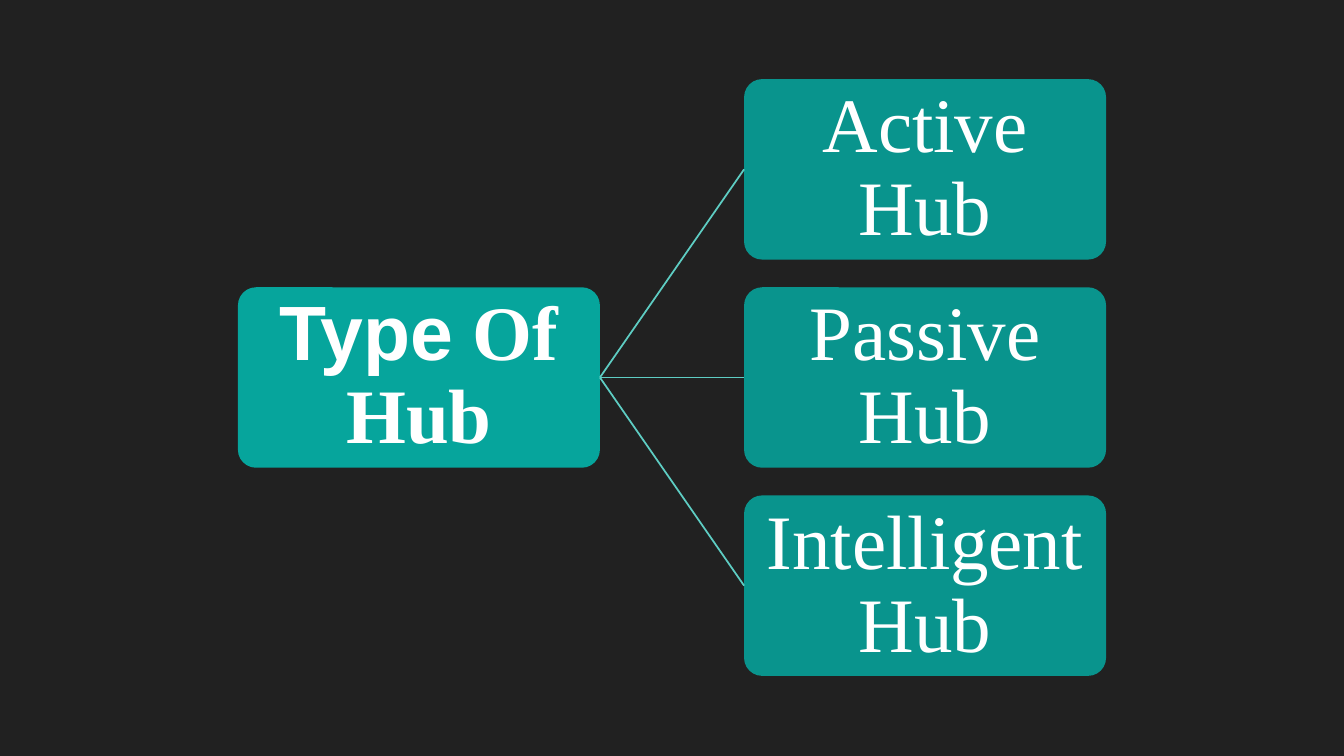
from dataclasses import dataclass

from pptx import Presentation
from pptx.dml.color import RGBColor
from pptx.enum import shapes, text
from pptx.oxml import parse_xml
from pptx.oxml.ns import nsdecls
from pptx.util import Inches, Pt

CARD_W, CARD_H = 3.59, 1.79
ROOT_LEFT, BRANCH_LEFT = 2.36, 7.38
MIDDLE_TOP, PITCH = 2.85, 2.065
TEXT_INSET = 0.05
SERIF, SANS = "Times New Roman", "Arial"


@dataclass
class Card:
    left: float
    top: float
    opacity: int
    label: str = ""


def rgb(value: str) -> RGBColor:
    return RGBColor.from_string(value)


def style_text(sp, bold: bool = False) -> None:
    tf = sp.text_frame
    tf.word_wrap = True
    tf.auto_size = text.MSO_AUTO_SIZE.NONE
    tf.vertical_anchor = text.MSO_ANCHOR.MIDDLE
    tf.margin_left = tf.margin_right = Inches(0.04)
    tf.margin_top = tf.margin_bottom = Inches(0.04)
    p = tf.paragraphs[0]
    p.alignment = text.PP_ALIGN.CENTER
    p.line_spacing = 0.9
    for r in p.runs:
        r.font.name = SERIF
        r.font.size = Pt(55)
        r.font.bold = bold
        r.font.color.rgb = rgb("FFFFFF")


def add_card(s, card: Card):
    sp = s.shapes.add_shape(
        shapes.MSO_SHAPE.ROUNDED_RECTANGLE, Inches(card.left),
        Inches(card.top), Inches(CARD_W), Inches(CARD_H))
    sp.adjustments[0] = 0.1
    sp.shadow.inherit = False
    sp.line.fill.background()
    sp.fill.solid()
    sp.fill.fore_color.rgb = rgb("00C6BB")
    color = sp.element.spPr.find(".//{*}srgbClr")
    color.append(parse_xml(
        f'<a:alpha {nsdecls("a")} val="{card.opacity * 1000}"/>'))
    if card.label:
        sp.text_frame.text = card.label
        style_text(sp)
    return sp


def join(s, start, end) -> None:
    line = s.shapes.add_connector(shapes.MSO_CONNECTOR.STRAIGHT, 0, 0, 0, 0)
    line.begin_connect(start, 3)
    line.end_connect(end, 1)
    line.line.color.rgb = rgb("5ECDC3")
    line.line.width = Pt(1.25)
    line.element.spPr.append(parse_xml(f'<a:effectLst {nsdecls("a")}/>'))


def main() -> None:
    prs = Presentation()
    prs.slide_width, prs.slide_height = Inches(13.33), Inches(7.5)
    s = prs.slides.add_slide(prs.slide_layouts[5])
    s.background.fill.solid()
    s.background.fill.fore_color.rgb = rgb("212121")

    # Root card, with the slide title on top of it
    root = add_card(s, Card(ROOT_LEFT, MIDDLE_TOP, 80))
    title = s.shapes.title
    root.element.addnext(title.element)
    title.left = Inches(ROOT_LEFT + TEXT_INSET)
    title.top = Inches(MIDDLE_TOP + TEXT_INSET)
    title.width = Inches(CARD_W - 2 * TEXT_INSET)
    title.height = Inches(CARD_H - 2 * TEXT_INSET)
    p = title.text_frame.paragraphs[0]
    p.text = "Type"
    p.add_run().text = " Of Hub"
    style_text(title, bold=True)
    p.runs[0].font.name = SANS

    # Branch cards and their lines
    for i, label in enumerate(["Active Hub", "Passive Hub", "Intelligent Hub"]):
        top = MIDDLE_TOP + (i - 1) * PITCH
        branch = add_card(s, Card(BRANCH_LEFT, top, 70, label))
        join(s, root, branch)

    prs.save("out.pptx")


if __name__ == "__main__":
    main()
